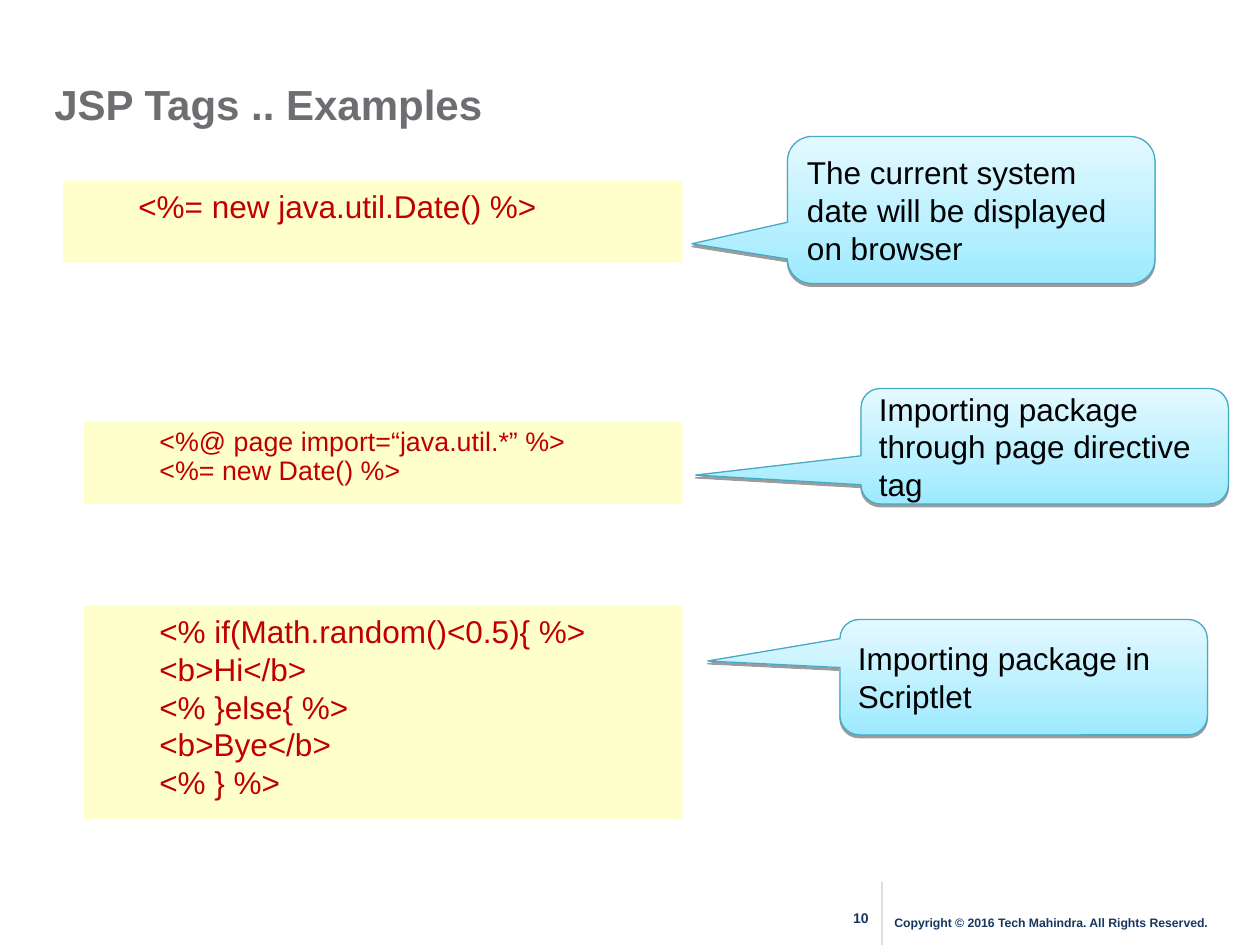
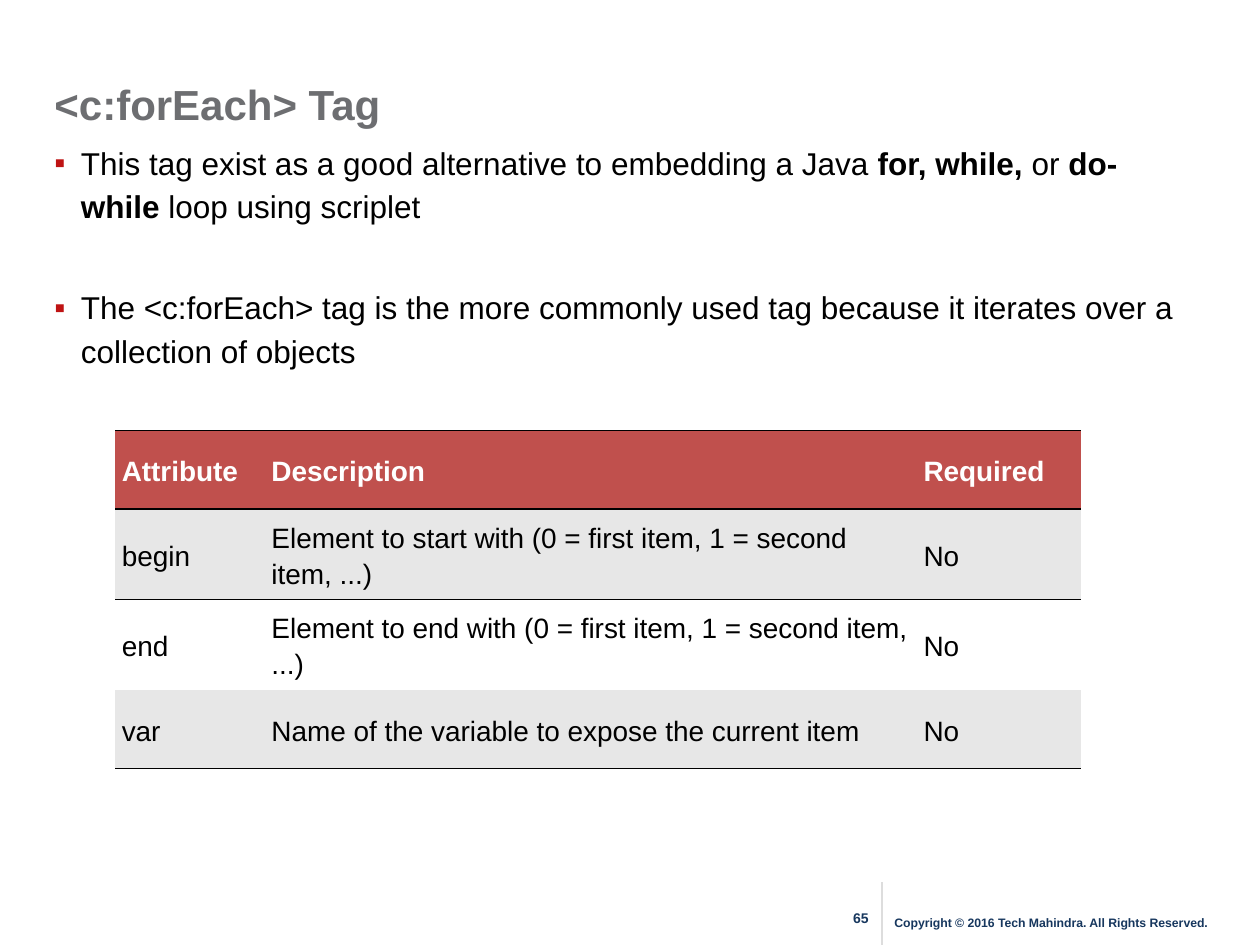
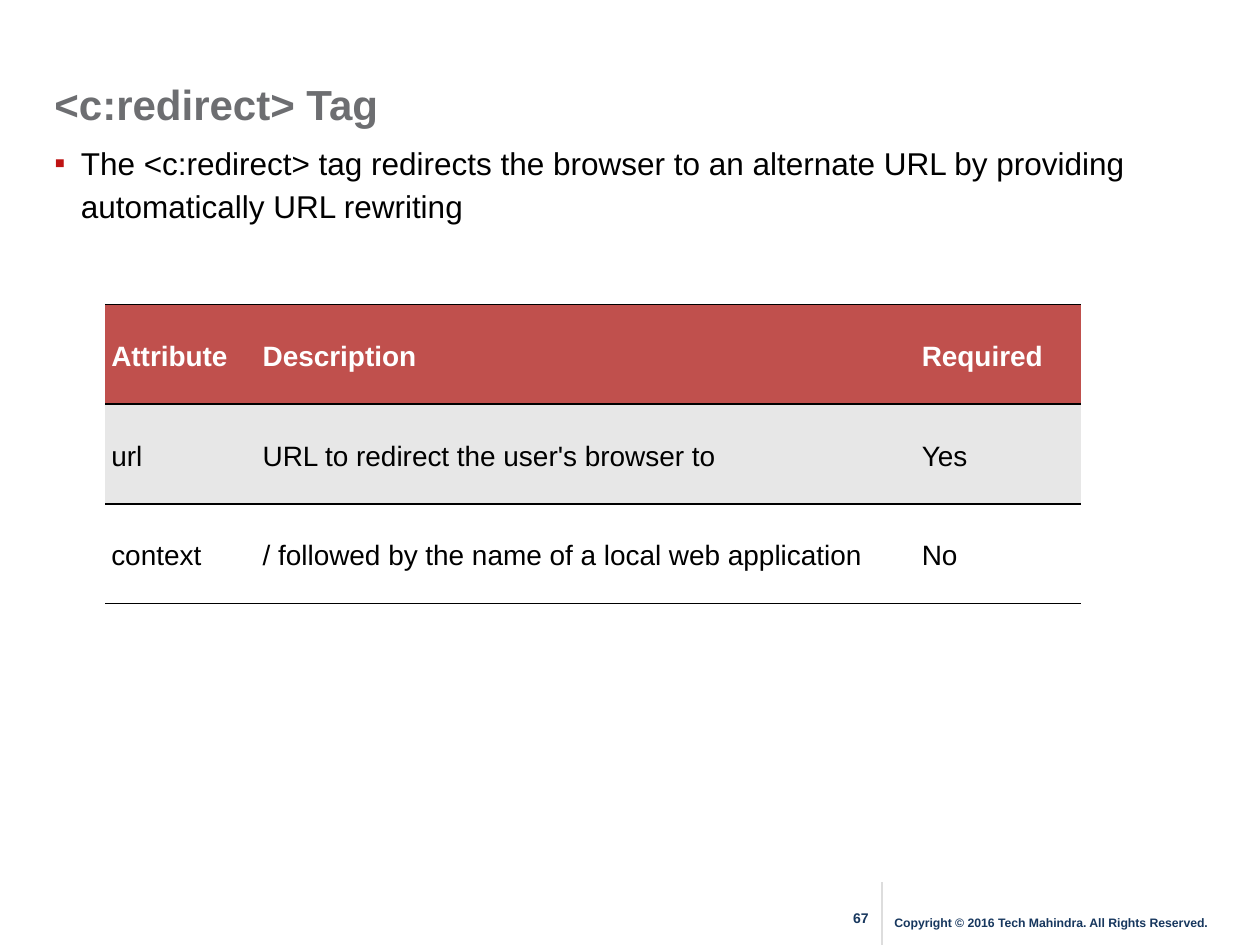
from lxml import etree
from pptx import Presentation
from pptx.dml.color import RGBColor
from pptx.enum.shapes import MSO_CONNECTOR as CONN, MSO_SHAPE as SHAPE
from pptx.enum.text import MSO_ANCHOR as ANCHOR, PP_ALIGN as ALIGN
from pptx.oxml.ns import qn
from pptx.util import Inches, Pt

FONT = "Arial"
BLACK, WHITE, GREY, NAVY = "000000", "FFFFFF", "6D6E71", "17375E"
RULE, CODE_BG, CODE, BULLET = "DDDDDD", "FFFFCC", "C00000", "BF1313"
SKY_LOW, SKY_HIGH, SKY_LINE = "9EEAFF", "E4F9FF", "46AAC5"
HEAD_BG, BAND_BG = "C0504D", "E7E7E7"
NO_STYLE = "{2D5ABB26-0587-4C30-8999-92F81FD0307C}"
COPYRIGHT = "Copyright © 2016 Tech Mahindra. All Rights Reserved."

GRID = 12
SLIDE_W, SLIDE_H = 120, 90
TITLE_BOX = (4, 7.2, 88, 5.4)
BODY_BOX = (4, 12.6, 110, 72)
FOOTER_X, FOOTER_Y = 84, 84
NUMBER_BOX = (FOOTER_X - 5, 86, 6, 3.6)
COPYRIGHT_BOX = (FOOTER_X, 86.4, 35, 3)
COL_SHARES = (0.155, 0.675, 0.17)
PARAGRAPH_GAP = 33.5

HEADERS = ("Attribute", "Description", "Required")
SLIDES = [
    {
        "title": "JSP Tags .. Examples",
        "number": 10,
        "code": [
            ((6, 17.2, 59, 7.8), 18, 1, ["<%= new java.util.Date() %>"]),
            ((8, 40.2, 57, 7.8), 15.3, 0.9,
             ["<%@ page import=“java.util.*” %>", "<%= new Date() %>"]),
            ((8, 57.7, 57, 20.3), 18, 1,
             ["<% if(Math.random()<0.5){ %>", "<b>Hi</b>", "<% }else{ %>",
              "<b>Bye</b>", "<% } %>"]),
        ],
        "callouts": [
            ((75, 13, 35, 14), (-0.76, 0.23),
             "The current system date will be displayed on browser"),
            ((82, 37, 35, 11), (-0.95, 0.25),
             "Importing package through page directive tag"),
            ((80, 59, 35, 11), (-0.86, -0.14), "Importing package in Scriptlet"),
        ],
    },
    {
        "title": "<c:forEach> Tag",
        "number": 65,
        "bullets": [
            [("This tag exist as a good alternative to embedding a Java ", False),
             ("for, while,", True), (" or ", False), ("do-while", True),
             (" loop using scriplet", False)],
            [("The <c:forEach> tag is the more commonly used tag because it "
              "iterates over a collection of objects", False)],
        ],
        "table": {
            "at": (11, 41), "width": 92, "heights": (7.5, 8.6, 8.6, 7.5),
            "rows": [
                ("begin", "Element to start with (0 = first item, 1 = second item, ...)", "No"),
                ("end", "Element to end with (0 = first item, 1 = second item, ...)", "No"),
                ("var", "Name of the variable to expose the current item", "No"),
            ],
        },
    },
    {
        "title": "<c:redirect> Tag",
        "number": 67,
        "bullets": [
            [("The <c:redirect> tag redirects the browser to an alternate URL by "
              "providing automatically URL rewriting", False)],
        ],
        "table": {
            "at": (10, 29), "width": 93, "heights": (9.5,) * 3,
            "rows": [
                ("url", "URL to redirect the user's browser to", "Yes"),
                ("context", "/ followed by the name of a local web application", "No"),
            ],
        },
    },
]


def rgb(color):
    return RGBColor.from_string(color)


def unit(n):
    return Inches(n / GRID)


def units(values):
    return [unit(v) for v in values]


def sub(parent, tag, **attrs):
    return etree.SubElement(parent, qn(tag), {k: str(v) for k, v in attrs.items()})


def add_run(p, text, size, color, bold=False):
    r = p.add_run()
    r.text = text
    r.font.name, r.font.size, r.font.bold = FONT, Pt(size), bold
    r.font.color.rgb = rgb(color)


def add_text(slide, box, text, size, color, bold=False,
             anchor=ANCHOR.MIDDLE, align=ALIGN.LEFT):
    tf = slide.shapes.add_textbox(*units(box)).text_frame
    tf.word_wrap, tf.vertical_anchor = True, anchor
    p = tf.paragraphs[0]
    p.alignment = align
    add_run(p, text, size, color, bold)


def add_frame(slide, title, number):
    add_text(slide, TITLE_BOX, title, 24, GREY, True)
    add_text(slide, NUMBER_BOX, str(number), 8, NAVY, True, ANCHOR.TOP, ALIGN.CENTER)
    x = unit(FOOTER_X)
    line = slide.shapes.add_connector(CONN.STRAIGHT, x, unit(FOOTER_Y), x, unit(SLIDE_H))
    line.line.color.rgb, line.line.width = rgb(RULE), Pt(1.5)
    sub(line._element.spPr, "a:effectLst")
    add_text(slide, COPYRIGHT_BOX, COPYRIGHT, 7, NAVY, True)


def add_code(slide, box, size, spacing, lines):
    sp = slide.shapes.add_shape(SHAPE.RECTANGLE, *units(box))
    sp.shadow.inherit = False
    sp.fill.solid()
    sp.fill.fore_color.rgb = rgb(CODE_BG)
    sp.line.fill.background()
    tf = sp.text_frame
    tf.word_wrap, tf.vertical_anchor = True, ANCHOR.TOP
    for i, text in enumerate(lines):
        p = tf.add_paragraph() if i else tf.paragraphs[0]
        p.alignment, p.line_spacing = ALIGN.LEFT, spacing
        p._p.get_or_add_pPr().set("marL", str(Inches(0.5)))
        add_run(p, text, size, CODE)


def add_callout(slide, box, tip, text):
    sp = slide.shapes.add_shape(SHAPE.ROUNDED_RECTANGULAR_CALLOUT, *units(box))
    sp.adjustments[0], sp.adjustments[1] = tip
    sp.fill.gradient()
    sp.fill.gradient_angle = 90
    for stop, color in zip(sp.fill.gradient_stops, (SKY_LOW, SKY_HIGH)):
        stop.color.rgb = rgb(color)
    sp.line.color.rgb, sp.line.width = rgb(SKY_LINE), Pt(0.75)
    sp.shadow.inherit = False
    shadow = sub(sp._element.spPr.find(qn("a:effectLst")), "a:outerShdw",
                 blurRad=0, dist=Pt(1.6), dir=5400000, rotWithShape=0)
    sub(sub(shadow, "a:srgbClr", val=BLACK), "a:alpha", val=38000)
    tf = sp.text_frame
    tf.word_wrap, tf.vertical_anchor = True, ANCHOR.MIDDLE
    tf.paragraphs[0].alignment = ALIGN.LEFT
    add_run(tf.paragraphs[0], text, 18, BLACK)


def add_bullets(slide, bullets):
    tf = slide.shapes.add_textbox(*units(BODY_BOX)).text_frame
    tf.word_wrap = True
    for i, runs in enumerate(bullets):
        p = tf.add_paragraph() if i else tf.paragraphs[0]
        pPr = p._p.get_or_add_pPr()
        pPr.set("marL", str(Inches(0.21)))
        pPr.set("indent", str(-Inches(0.21)))
        sub(sub(pPr, "a:buClr"), "a:srgbClr", val=BULLET)
        sub(pPr, "a:buFont", typeface=FONT)
        sub(pPr, "a:buChar", char="▪")
        p.line_spacing = 1.14
        if i:
            p.space_before = Pt(PARAGRAPH_GAP)
        for text, bold in runs:
            add_run(p, text, 18, BLACK, bold)


def add_border(cell, tag):
    ln = sub(cell._tc.get_or_add_tcPr(), tag, w=Pt(0.96))
    sub(sub(ln, "a:solidFill"), "a:srgbClr", val=BLACK)


def add_attributes(slide, at, width, heights, rows):
    rows = [HEADERS, *rows]
    box = units((*at, width, sum(heights)))
    table = slide.shapes.add_table(len(rows), len(HEADERS), *box).table
    table._tbl.tblPr.find(qn("a:tableStyleId")).text = NO_STYLE
    table.first_row = table.horz_banding = False
    for col, share in zip(table.columns, COL_SHARES):
        col.width = unit(width * share)
    for i, (texts, height) in enumerate(zip(rows, heights)):
        table.rows[i].height = unit(height)
        head = i == 0
        for j, text in enumerate(texts):
            cell = table.cell(i, j)
            cell.margin_left = cell.margin_right = Inches(0.05)
            cell.margin_top = cell.margin_bottom = Inches(0.05)
            cell.vertical_anchor = ANCHOR.MIDDLE
            if i < 2:
                add_border(cell, "a:lnT")
            if i == len(rows) - 1:
                add_border(cell, "a:lnB")
            cell.fill.solid()
            cell.fill.fore_color.rgb = rgb(HEAD_BG if head else BAND_BG if i % 2 else WHITE)
            p = cell.text_frame.paragraphs[0]
            p.line_spacing = 1.15
            add_run(p, text, 16, WHITE if head else BLACK, head)


def main():
    prs = Presentation()
    prs.slide_width, prs.slide_height = unit(SLIDE_W), unit(SLIDE_H)
    for content in SLIDES:
        slide = prs.slides.add_slide(prs.slide_layouts[6])
        add_frame(slide, content["title"], content["number"])
        for code in content.get("code", []):
            add_code(slide, *code)
        for callout in content.get("callouts", []):
            add_callout(slide, *callout)
        if "bullets" in content:
            add_bullets(slide, content["bullets"])
        if "table" in content:
            add_attributes(slide, **content["table"])
    prs.save("out.pptx")


if __name__ == "__main__":
    main()
